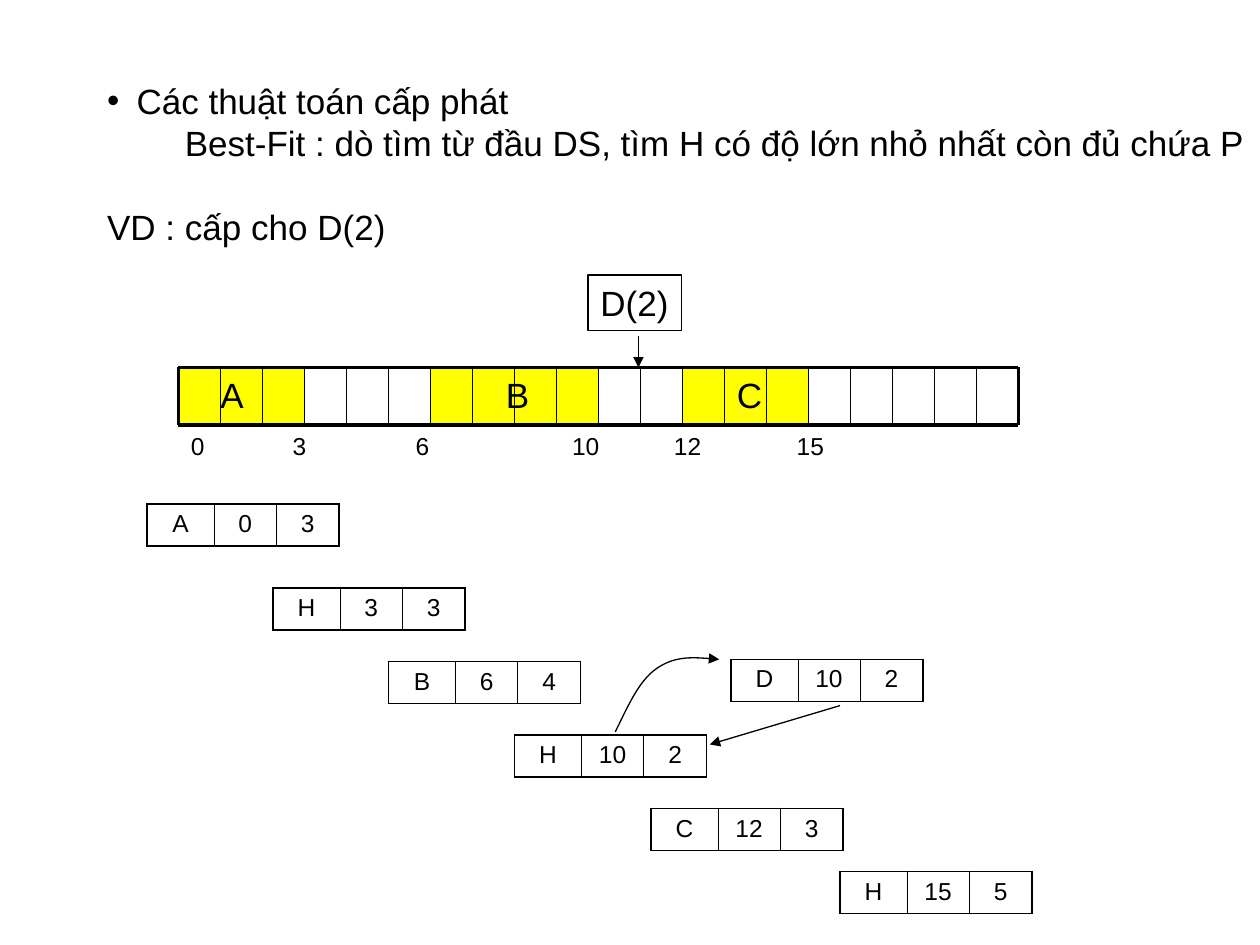
import dataclasses

import lxml.etree
import pptx
import pptx.dml.color
import pptx.enum.shapes
import pptx.enum.text
import pptx.oxml.ns
import pptx.util

PX = 7620
qn = pptx.oxml.ns.qn


@dataclasses.dataclass(frozen=True)
class Theme:
    font: str = "Arial"
    ink: pptx.dml.color.RGBColor = pptx.dml.color.RGBColor(0, 0, 0)
    used: pptx.dml.color.RGBColor = pptx.dml.color.RGBColor(255, 255, 0)
    body: int = 20
    small: int = 14
    thin: float = 0.75
    divider: float = 1
    frame: float = 2.25
    cell_outer: float = 1.08
    cell_inner: float = 0.45
    small_gap: float = 3.5


@dataclasses.dataclass(frozen=True)
class Box:
    left: int
    top: int
    width: int
    height: int

    def emu(self):
        return [px(v) for v in (self.left, self.top, self.width, self.height)]


THEME = Theme()


def px(value):
    return pptx.util.Emu(value * PX)


def add_xml(parent, tag, **attributes):
    return lxml.etree.SubElement(parent, qn(tag), attributes)


def style_runs(paragraph, size):
    for run in paragraph.runs:
        run.font.name = THEME.font
        run.font.size = pptx.util.Pt(size)
        run.font.color.rgb = THEME.ink


def style_line(line, weight, arrow=False):
    line.color.rgb = THEME.ink
    line.width = pptx.util.Pt(weight)
    if arrow:
        add_xml(line._get_or_add_ln(), "a:tailEnd", type="triangle")


def segment(shapes, start, end, weight, arrow=False):
    connector = shapes.add_connector(
        pptx.enum.shapes.MSO_CONNECTOR.STRAIGHT, *map(px, start + end))
    style_line(connector.line, weight, arrow)
    add_xml(connector._element.spPr, "a:effectLst")


def rectangle(shapes, box):
    rect = shapes.add_shape(pptx.enum.shapes.MSO_SHAPE.RECTANGLE, *box.emu())
    rect.shadow.inherit = False
    return rect


def label(shape, text, size, wrap=False):
    shape.text_frame.word_wrap = wrap
    paragraph = shape.text_frame.paragraphs[0]
    paragraph.text = text
    paragraph.alignment = pptx.enum.text.PP_ALIGN.LEFT
    style_runs(paragraph, size)
    return paragraph


def explanation(slide, box):
    body = slide.placeholders[1]
    body.left, body.top, body.width, body.height = box.emu()
    frame = body.text_frame
    frame.auto_size = pptx.enum.text.MSO_AUTO_SIZE.NONE
    lines = [
        ("Các thuật toán cấp phát", 28, -28, 0, "•"),
        ("Best-Fit : dò tìm từ đầu DS, tìm H có độ lớn nhỏ nhất còn đủ chứa P",
         74, 0, 0, None),
        ("VD : cấp cho D(2)", 0, 0, 24, None),
    ]
    frame.text = "\n".join(line[0] for line in lines)
    for paragraph, (_, margin, indent, gap, bullet) in zip(frame.paragraphs, lines):
        paragraph.space_before = pptx.util.Pt(gap)
        properties = paragraph._p.get_or_add_pPr()
        properties.set("marL", str(px(margin)))
        properties.set("indent", str(px(indent)))
        if bullet:
            add_xml(properties, "a:buChar", char=bullet)
        else:
            add_xml(properties, "a:buNone")
        style_runs(paragraph, THEME.body)


def memory_bar(slide, box, cells, processes):
    shapes = slide.shapes.add_group_shape().shapes
    step = box.width // cells
    right, bottom = box.left + box.width, box.top + box.height

    scale = shapes.add_textbox(*Box(box.left, bottom, box.width, 47).emu())
    marks = label(scale, "0\t3\t6\t10\t12\t15", THEME.small, wrap=True)
    marks.space_before = pptx.util.Pt(THEME.small_gap)
    tabs = add_xml(marks._p.get_or_add_pPr(), "a:tabLst")
    for stop in (97, 214, 363, 460, 577):
        add_xml(tabs, "a:tab", pos=str(px(stop)), algn="l")

    for _, start, length, _ in processes:
        for cell in range(start, start + length):
            used = rectangle(
                shapes, Box(box.left + cell * step, box.top, step, box.height))
            used.fill.solid()
            used.fill.fore_color.rgb = THEME.used
            used.line.fill.background()

    for y in (box.top, bottom):
        segment(shapes, (box.left, y), (right, y), THEME.frame)
    for cell in range(cells + 1):
        x = box.left + cell * step
        weight = THEME.frame if cell in (0, cells) else THEME.divider
        segment(shapes, (x, box.top), (x, bottom), weight)

    for name, _, _, offset in processes:
        caption = shapes.add_textbox(
            *Box(box.left + offset, box.top, 46, 53).emu())
        label(caption, name, THEME.body)


def request(slide, box):
    shapes = slide.shapes.add_group_shape().shapes
    process = rectangle(shapes, box)
    process.fill.background()
    style_line(process.line, THEME.thin)
    label(process, "D(2)", THEME.body)
    x, y = box.left + 48, box.top + box.height
    segment(shapes, (x, y + 5), (x, y + 35), THEME.thin, arrow=True)


def list_node(slide, box, values):
    widths = (64, 59, box.width - 123)
    table = slide.shapes.add_table(1, len(values), *box.emu()).table
    table.first_row = table.horz_banding = False
    table.rows[0].height = px(box.height)
    for index, (value, width) in enumerate(zip(values, widths)):
        table.columns[index].width = px(width)
        cell = table.cell(0, index)
        paragraph = cell.text_frame.paragraphs[0]
        paragraph.text = str(value)
        paragraph.alignment = pptx.enum.text.PP_ALIGN.CENTER
        paragraph.space_before = pptx.util.Pt(THEME.small_gap)
        style_runs(paragraph, THEME.small)
        outer = {"L": index == 0, "R": index == len(values) - 1, "T": True, "B": True}
        properties = cell._tc.get_or_add_tcPr()
        for side, is_outer in outer.items():
            weight = THEME.cell_outer if is_outer else THEME.cell_inner
            border = add_xml(properties, f"a:ln{side}", w=str(pptx.util.Pt(weight)))
            ink = add_xml(border, "a:solidFill")
            add_xml(ink, "a:srgbClr", val=str(THEME.ink))
        cell.fill.background()


def insertion_arrows(slide, box):
    def at(x, y):
        return box.left + x, box.top + y

    builder = slide.shapes.build_freeform(*at(0, 72), scale=PX)
    controls = [(12, 48), (22, 24), (39, 12), (56, 0), (78, 1), (99, 3)]
    builder.add_line_segments([at(*point) for point in controls], close=False)
    curve = builder.convert_to_shape()
    curve.shadow.inherit = False
    curve.fill.background()
    style_line(curve.line, THEME.thin, arrow=True)
    outline = curve._element.find(".//" + qn("a:path"))
    steps = outline.findall(qn("a:lnTo"))
    for part in (steps[:3], steps[3:]):
        bezier = add_xml(outline, "a:cubicBezTo")
        for step in part:
            bezier.append(step[0])
            outline.remove(step)
    segment(slide.shapes, at(box.width, 47), at(90, 84), THEME.thin, arrow=True)


def main():
    deck = pptx.Presentation()
    deck.slide_width, deck.slide_height = px(1200), px(900)
    slide = deck.slides.add_slide(deck.slide_layouts[1])
    title = slide.shapes.title._element
    title.getparent().remove(title)

    explanation(slide, Box(90, 70, 1110, 172))
    memory_bar(slide, Box(170, 350, 800, 55), 20,
               [("A", 0, 3, 28), ("B", 6, 4, 300), ("C", 12, 3, 520)])
    nodes = [
        (140, 480, ("A", 0, 3)),
        (260, 560, ("H", 3, 3)),
        (370, 630, ("B", 6, 4)),
        (490, 700, ("H", 10, 2)),
        (620, 770, ("C", 12, 3)),
        (800, 830, ("H", 15, 5)),
        (696, 628, ("D", 10, 2)),
    ]
    for left, top, values in nodes:
        list_node(slide, Box(left, top, 183, 40), values)
    request(slide, Box(560, 262, 89, 53))
    insertion_arrows(slide, Box(586, 625, 214, 84))
    deck.save("out.pptx")


if __name__ == "__main__":
    main()
